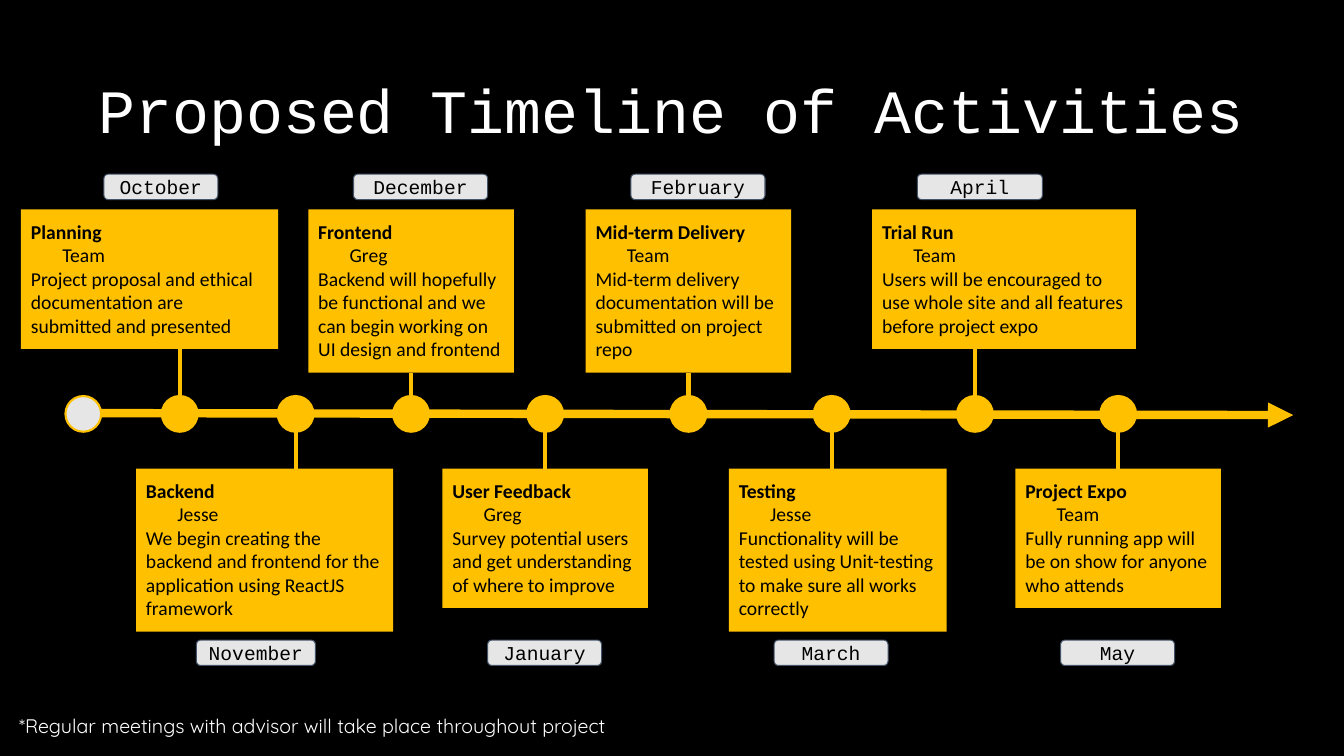
"""Build the project timeline slide."""
from lxml.etree import SubElement
from pptx import Presentation
from pptx.dml.color import RGBColor
from pptx.enum.shapes import MSO_CONNECTOR, MSO_SHAPE
from pptx.enum.text import MSO_ANCHOR, MSO_AUTO_SIZE, PP_ALIGN
from pptx.oxml.ns import qn
from pptx.util import Cm, Pt

TITLE = "Proposed Timeline of Activities"
FOOTNOTE = "*Regular meetings with advisor will take place throughout project"

# month, heading, owner, details
STAGES = [
    ("October", "Planning", "Team",
     "Project proposal and ethical documentation are submitted and presented"),
    ("November", "Backend", "Jesse",
     "We begin creating the backend and frontend for the application using ReactJS framework"),
    ("December", "Frontend", "Greg",
     "Backend will hopefully be functional and we can begin working on UI design and frontend"),
    ("January", "User Feedback", "Greg",
     "Survey potential users and get understanding of where to improve"),
    ("February", "Mid-term Delivery", "Team",
     "Mid-term delivery documentation will be submitted on project repo"),
    ("March", "Testing", "Jesse",
     "Functionality will be tested using Unit-testing to make sure all works correctly"),
    ("April", "Trial Run", "Team",
     "Users will be encouraged to use whole site and all features before project expo"),
    ("May", "Project Expo", "Team",
     "Fully running app will be on show for anyone who attends"),
]
DOT_X = [4.53, 7.45, 10.36] + [13.74 + 3.61 * i for i in range(5)]
CARD_LEAD = [4, 4.02] + [2.59] * 6
CARD_W = [6.48, 6.48, 5.18, 5.18, 5.18, 5.49, 6.65, 5.18]
CARD_H = [3.51, 4.11, 4.11, 3.51, 4.11, 4.11, 3.51, 3.51]
MONTH_LEAD = [1.91, 2.5] + [1.45] * 6
MONTH_W = [2.87, 3, 3.38, 2.87, 3.38, 2.87, 3.15, 2.87]
MONTH_H = 0.64
CARD_TOP, MONTH_TOP = (5.28, 11.81), (4.39, 16.13)
AXIS_Y, RADIUS, START_X = 10.43, 0.45, 2.1

BLACK = RGBColor(0x00, 0x00, 0x00)
WHITE = RGBColor(0xFF, 0xFF, 0xFF)
AMBER = RGBColor(0xFF, 0xC0, 0x00)
GREY = RGBColor(0xE7, 0xE6, 0xE6)
SLATE = RGBColor(0x44, 0x54, 0x6A)


def write(sp, *lines, font="Calibri", size=14, color=BLACK, align=PP_ALIGN.LEFT,
          anchor=MSO_ANCHOR.TOP, grow=False, bold_first=False, indents=(), spacing=None):
    tf = sp.text_frame
    tf.word_wrap = True
    tf.auto_size = MSO_AUTO_SIZE.SHAPE_TO_FIT_TEXT if grow else MSO_AUTO_SIZE.NONE
    tf.vertical_anchor = anchor
    tf.margin_left = tf.margin_right = tf.margin_top = tf.margin_bottom = Cm(0.25)
    for i, line in enumerate(lines):
        p = tf.paragraphs[0] if i == 0 else tf.add_paragraph()
        p.alignment = align
        p.line_spacing = spacing
        if i in indents:
            p._p.get_or_add_pPr().set("marL", str(Cm(0.79)))
        r = p.add_run()
        r.text = line
        r.font.name, r.font.size = font, Pt(size)
        r.font.bold = bold_first and i == 0
        r.font.color.rgb = color


def add_box(s, kind, x, y, w, h, fill, line=None, weight=0.75):
    sp = s.shapes.add_shape(kind, Cm(x), Cm(y), Cm(w), Cm(h))
    sp.shadow.inherit = False
    sp.fill.solid()
    sp.fill.fore_color.rgb = fill
    if line is None:
        sp.line.fill.background()
    else:
        sp.line.color.rgb, sp.line.width = line, Pt(weight)
    return sp


def add_line(s, x1, y1, x2, y2, weight):
    c = s.shapes.add_connector(MSO_CONNECTOR.STRAIGHT, Cm(x1), Cm(y1), Cm(x2), Cm(y2))
    c.line.color.rgb, c.line.width = AMBER, Pt(weight)
    SubElement(c._element.spPr, qn("a:effectLst"))
    return c


def add_dot(s, x, fill):
    add_box(s, MSO_SHAPE.OVAL, x - RADIUS, AXIS_Y - RADIUS, 2 * RADIUS, 2 * RADIUS,
            fill, AMBER, 1.5)


def add_stage(s, i):
    month, heading, owner, details = STAGES[i]
    x, below = DOT_X[i], i % 2
    add_dot(s, x, AMBER)
    card = add_box(s, MSO_SHAPE.RECTANGLE, x - CARD_LEAD[i], CARD_TOP[below],
                   CARD_W[i], CARD_H[i], AMBER)
    write(card, heading, owner, details, grow=True, bold_first=True, indents=(1,))
    edge = CARD_TOP[1] if below else CARD_TOP[0] + CARD_H[i]
    stem = add_line(s, x, AXIS_Y + (RADIUS if below else -RADIUS), x, edge, 3)
    if CARD_W[i] == 2 * CARD_LEAD[i]:
        stem.end_connect(card, 0 if below else 2)
    label = add_box(s, MSO_SHAPE.ROUNDED_RECTANGLE, x - MONTH_LEAD[i], MONTH_TOP[below],
                    MONTH_W[i], MONTH_H, GREY, SLATE)
    write(label, month, font="Courier New", align=PP_ALIGN.CENTER, anchor=MSO_ANCHOR.MIDDLE)


def main():
    prs = Presentation()
    prs.slide_width, prs.slide_height = Cm(33.87), Cm(19.05)
    s = prs.slides.add_slide(prs.slide_layouts[6])
    s.background.fill.solid()
    s.background.fill.fore_color.rgb = BLACK

    title = s.shapes.add_textbox(Cm(1.78), Cm(1.02), Cm(30.3), Cm(3.68))
    write(title, TITLE, font="Courier New", size=44, color=WHITE, align=PP_ALIGN.CENTER,
          anchor=MSO_ANCHOR.MIDDLE, spacing=0.9)

    axis = add_line(s, START_X + RADIUS, AXIS_Y - 0.02, 32.59, AXIS_Y + 0.03, 6)
    SubElement(axis.line._get_or_add_ln(), qn("a:tailEnd"), type="triangle")
    add_dot(s, START_X, GREY)
    for i in range(len(STAGES)):
        add_stage(s, i)

    note = s.shapes.add_textbox(Cm(0.23), Cm(17.73), Cm(17.09), Cm(1.12))
    write(note, FOOTNOTE, font="Quicksand", color=WHITE, grow=True)
    prs.save("out.pptx")


if __name__ == "__main__":
    main()
